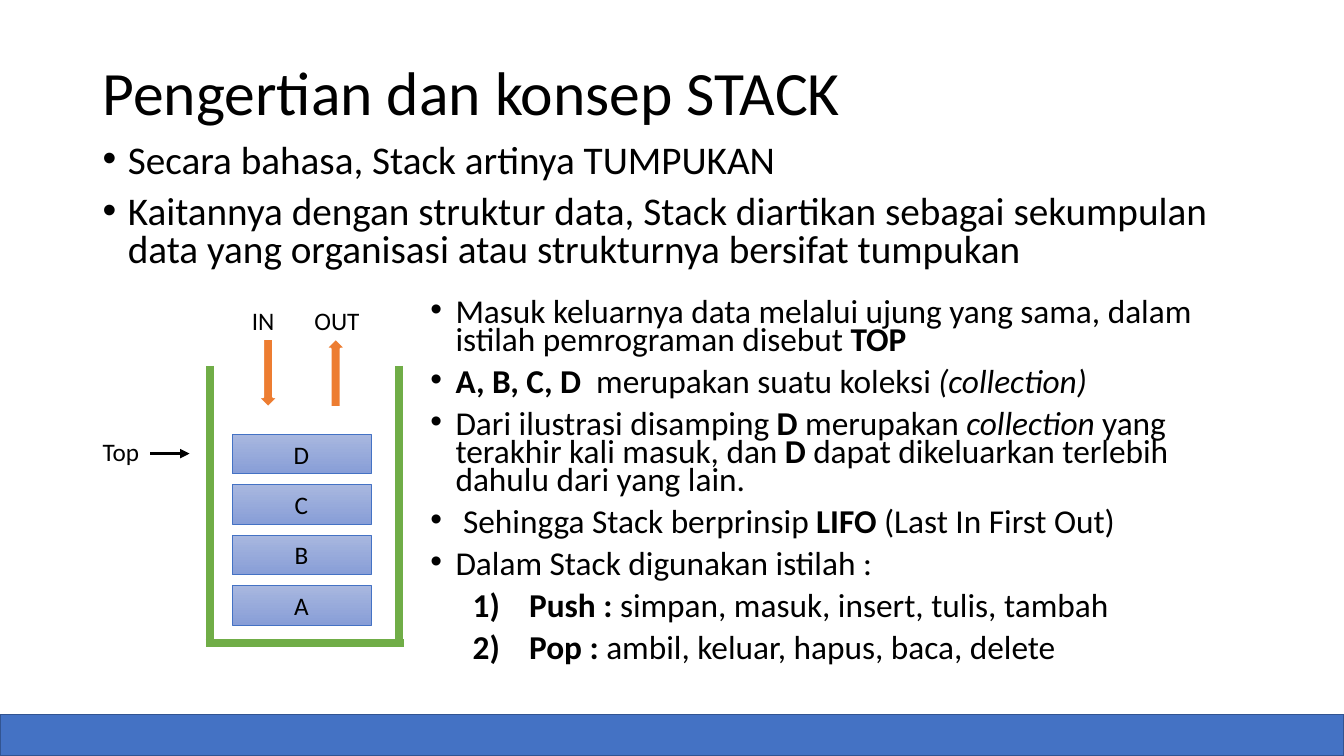
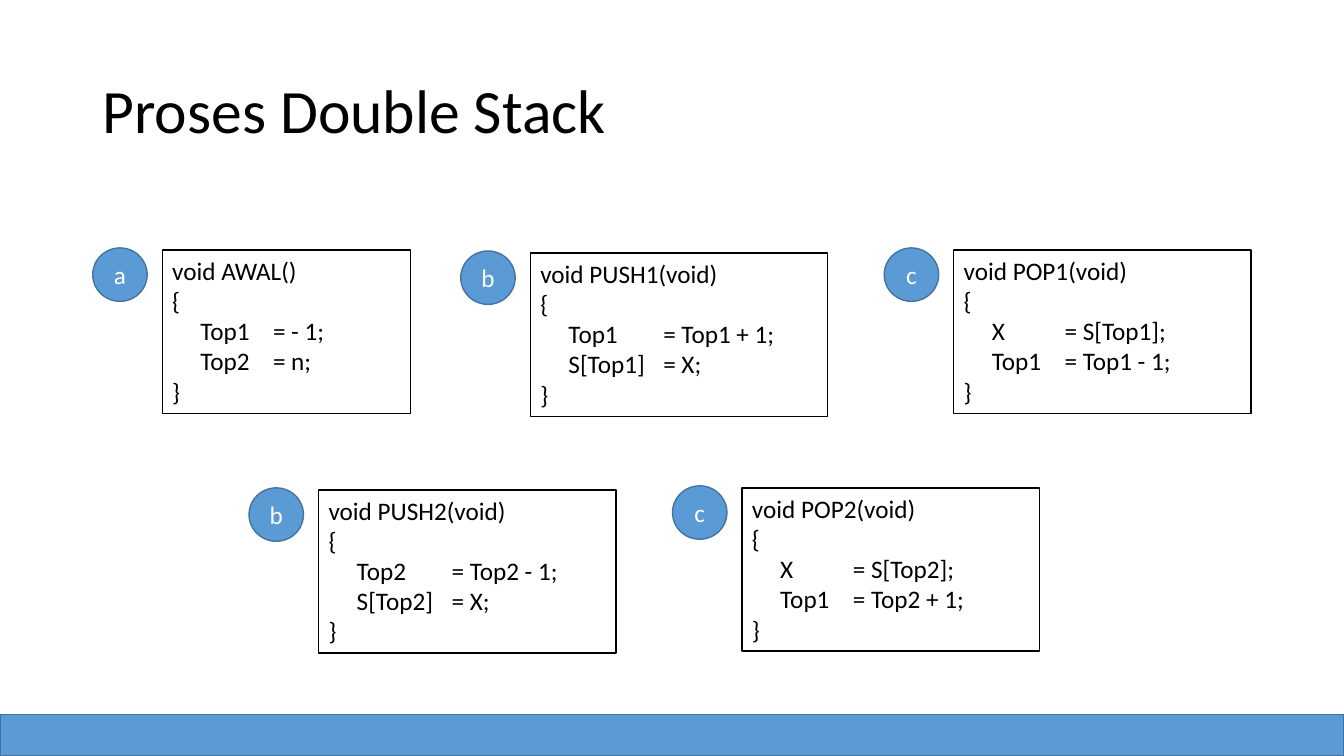
from dataclasses import dataclass

from lxml import etree
from pptx import Presentation
from pptx.dml.color import RGBColor
from pptx.enum.shapes import MSO_CONNECTOR, MSO_SHAPE
from pptx.enum.text import MSO_ANCHOR, PP_ALIGN
from pptx.oxml.ns import qn
from pptx.util import Inches, Pt

RECT, OVAL, UP_ARROW = MSO_SHAPE.RECTANGLE, MSO_SHAPE.OVAL, MSO_SHAPE.UP_ARROW
STRAIGHT = MSO_CONNECTOR.STRAIGHT
TOP, MIDDLE = MSO_ANCHOR.TOP, MSO_ANCHOR.MIDDLE
LEFT, CENTER = PP_ALIGN.LEFT, PP_ALIGN.CENTER

FONT = "Calibri"
WIDTH, HEIGHT, MARGIN = 13.33, 7.5, 0.92
BAND_HEIGHT = 0.41
COLORS = {
    "text": "000000",
    "white": "FFFFFF",
    "blue": "4472C4",
    "blue_edge": "325491",
    "sky": "5B9BD5",
    "sky_edge": "43739E",
    "block_top": "A8B7DF",
    "block_bottom": "889ED7",
    "green": "70AD47",
    "orange": "ED7D31",
}


@dataclass(frozen=True)
class Box:
    x: float
    y: float
    w: float
    h: float


@dataclass(frozen=True)
class Span:
    text: str
    bold: bool = False
    italic: bool = False


@dataclass(frozen=True)
class Item:
    spans: tuple[Span, ...]
    numbered: bool = False


@dataclass(frozen=True)
class CodeCard:
    badge: str
    box: Box
    tab: float
    lines: tuple[str, ...]


@dataclass(frozen=True)
class Wall:
    x1: float
    y1: float
    x2: float
    y2: float


def rgb(name: str) -> RGBColor:
    return RGBColor.from_string(COLORS[name])


def style_run(r, size: float, color: str = "text") -> None:
    r.font.name, r.font.size = FONT, Pt(size)
    r.font.color.rgb = rgb(color)


def set_tabs(p, stops: tuple[float, ...]) -> None:
    tabs = etree.SubElement(p._p.get_or_add_pPr(), qn("a:tabLst"))
    for stop in stops:
        etree.SubElement(tabs, qn("a:tab"), pos=str(Inches(stop)), algn="l")


def write(sp, text: str, size: float = 18, color: str = "text", align=LEFT,
          anchor=TOP, tabs: tuple[float, ...] = (), wrap: bool = True) -> None:
    tf = sp.text_frame
    tf.text = text
    tf.word_wrap, tf.vertical_anchor = wrap, anchor
    for p in tf.paragraphs:
        p.alignment = align
        if tabs:
            set_tabs(p, tabs)
        for r in p.runs:
            style_run(r, size, color)


def add_box(s, box: Box):
    return s.shapes.add_textbox(Inches(box.x), Inches(box.y), Inches(box.w), Inches(box.h))


def add_shape(s, kind, box: Box, fill: str, line: str, weight: float = 1):
    sp = s.shapes.add_shape(kind, Inches(box.x), Inches(box.y), Inches(box.w), Inches(box.h))
    sp.shadow.inherit = False
    sp.fill.solid()
    sp.fill.fore_color.rgb = rgb(fill)
    sp.line.color.rgb = rgb(line)
    sp.line.width = Pt(weight)
    return sp


def add_line(s, wall: Wall, color: str, weight: float, arrow: bool = False) -> None:
    line = s.shapes.add_connector(STRAIGHT, Inches(wall.x1), Inches(wall.y1),
                                  Inches(wall.x2), Inches(wall.y2))
    line.line.color.rgb = rgb(color)
    line.line.width = Pt(weight)
    if arrow:
        etree.SubElement(line.line._get_or_add_ln(), qn("a:tailEnd"), type="triangle")
    etree.SubElement(line._element.spPr, qn("a:effectLst"))


def add_slide(prs, title: str, title_y: float, fill: str, edge: str):
    s = prs.slides.add_slide(prs.slide_layouts[6])
    heading = add_box(s, Box(MARGIN, title_y, 11.5, 1.45))
    write(heading, title, 44, anchor=MIDDLE)
    heading.text_frame.paragraphs[0].line_spacing = 0.9
    add_shape(s, RECT, Box(0, HEIGHT - BAND_HEIGHT, WIDTH, BAND_HEIGHT), fill, edge)
    return s


def add_list(s, box: Box, items: tuple[Item, ...], size: float, spacing: float) -> None:
    tf = add_box(s, box).text_frame
    tf.word_wrap = True
    for i, item in enumerate(items):
        p = tf.add_paragraph() if i else tf.paragraphs[0]
        p.line_spacing, p.space_before = spacing, Pt(10)
        margin, indent = (0.98, -0.56) if item.numbered else (0.25, -0.25)
        pPr = p._p.get_or_add_pPr()
        pPr.set("marL", str(Inches(margin)))
        pPr.set("indent", str(Inches(indent)))
        if item.numbered:
            etree.SubElement(pPr, qn("a:buFont"), typeface="+mj-lt")
            etree.SubElement(pPr, qn("a:buAutoNum"), type="arabicParenR")
        else:
            etree.SubElement(pPr, qn("a:buFont"), typeface="Arial")
            etree.SubElement(pPr, qn("a:buChar"), char="•")
        for span in item.spans:
            r = p.add_run()
            r.text = span.text
            style_run(r, size)
            r.font.bold, r.font.italic = span.bold, span.italic


def add_stack_diagram(s) -> None:
    for i, name in enumerate("ABCD"):
        block = add_shape(s, RECT, Box(2.3, 5.81 - 0.5 * i, 1.38, 0.39), "block_top", "blue", 0.5)
        block.fill.gradient()
        block.fill.gradient_angle = 270
        for stop, color in zip(block.fill.gradient_stops, ("block_top", "block_bottom")):
            stop.color.rgb = rgb(color)
        write(block, name, align=CENTER, anchor=MIDDLE)
    left, right, top, bottom = 2.08, 3.96, 3.63, 6.38
    for wall in (Wall(left, top, left, bottom), Wall(right, top, right, bottom),
                 Wall(left - 0.04, bottom, right + 0.05, bottom)):
        add_line(s, wall, "green", 6)
    for x, rotation in ((3.23, 0), (2.56, 180)):
        arrow = add_shape(s, UP_ARROW, Box(x, 3.36, 0.2, 0.68), "orange", "white", 1.5)
        arrow.rotation = rotation
    write(add_box(s, Box(2.4, 2.98, 1.28, 0.4)), "IN\tOUT", tabs=(0.62,), wrap=False)
    write(add_box(s, Box(MARGIN, 4.28, 0.57, 0.4)), "Top", wrap=False)
    add_line(s, Wall(1.49, 4.5, 1.88, 4.5), "text", 2.25, arrow=True)


def add_code_card(s, card: CodeCard) -> None:
    frame = add_shape(s, RECT, card.box, "white", "text")
    write(frame, "\n".join(card.lines), tabs=(0.28, card.tab))
    badge = add_shape(s, OVAL, Box(card.box.x - 0.69, card.box.y - 0.02, 0.54, 0.53),
                      "sky", "sky_edge")
    write(badge, card.badge, color="white", align=CENTER, anchor=MIDDLE)


INTRO = (
    Item((Span("Secara bahasa, Stack artinya TUMPUKAN"),)),
    Item((Span("Kaitannya dengan struktur data, Stack diartikan sebagai sekumpulan "
               "data yang organisasi atau strukturnya bersifat tumpukan"),)),
)
CONCEPTS = (
    Item((Span("Masuk keluarnya data melalui ujung yang sama, dalam istilah "
               "pemrograman disebut "), Span("TOP", bold=True))),
    Item((Span("A, B, C, D  ", bold=True), Span("merupakan suatu koleksi "),
          Span("(collection)", italic=True))),
    Item((Span("Dari ilustrasi disamping "), Span("D ", bold=True), Span("merupakan "),
          Span("collection ", italic=True), Span("yang terakhir kali masuk, dan "),
          Span("D ", bold=True), Span("dapat dikeluarkan terlebih dahulu dari yang lain."))),
    Item((Span(" Sehingga Stack berprinsip "), Span("LIFO ", bold=True),
          Span("(Last In First Out)"))),
    Item((Span("Dalam Stack digunakan istilah :"),)),
    Item((Span("Push : ", bold=True), Span("simpan, masuk, insert, tulis, tambah")), True),
    Item((Span("Pop : ", bold=True), Span("ambil, keluar, hapus, baca, delete")), True),
)
CODE_CARDS = (
    CodeCard("a", Box(1.61, 2.48, 2.46, 1.62), 1.0,
             ("void AWAL()", "{", "\tTop1\t= - 1;", "\tTop2\t= n;", "}")),
    CodeCard("b", Box(5.26, 2.51, 2.95, 1.62), 1.22,
             ("void PUSH1(void)", "{", "\tTop1\t= Top1 + 1;", "\tS[Top1]\t= X;", "}")),
    CodeCard("c", Box(9.46, 2.48, 2.95, 1.62), 1.0,
             ("void POP1(void)", "{", "\tX\t= S[Top1];", "\tTop1\t= Top1 - 1;", "}")),
    CodeCard("b", Box(3.16, 4.86, 2.95, 1.62), 1.22,
             ("void PUSH2(void)", "{", "\tTop2\t= Top2 - 1;", "\tS[Top2]\t= X;", "}")),
    CodeCard("c", Box(7.36, 4.84, 2.95, 1.62), 1.0,
             ("void POP2(void)", "{", "\tX\t= S[Top2];", "\tTop1\t= Top2 + 1;", "}")),
)


def build() -> None:
    prs = Presentation()
    prs.slide_width, prs.slide_height = Inches(WIDTH), Inches(HEIGHT)

    s = add_slide(prs, "Pengertian dan konsep STACK", 0.22, "blue", "blue_edge")
    add_list(s, Box(MARGIN, 1.38, 11.5, 1.44), INTRO, 28, 0.8)
    add_list(s, Box(4.17, 2.94, 8.24, 4.04), CONCEPTS, 23.8, 0.7)
    add_stack_diagram(s)

    s = add_slide(prs, "Proses Double Stack", 0.4, "sky", "sky_edge")
    for card in CODE_CARDS:
        add_code_card(s, card)

    prs.save("out.pptx")


build()
